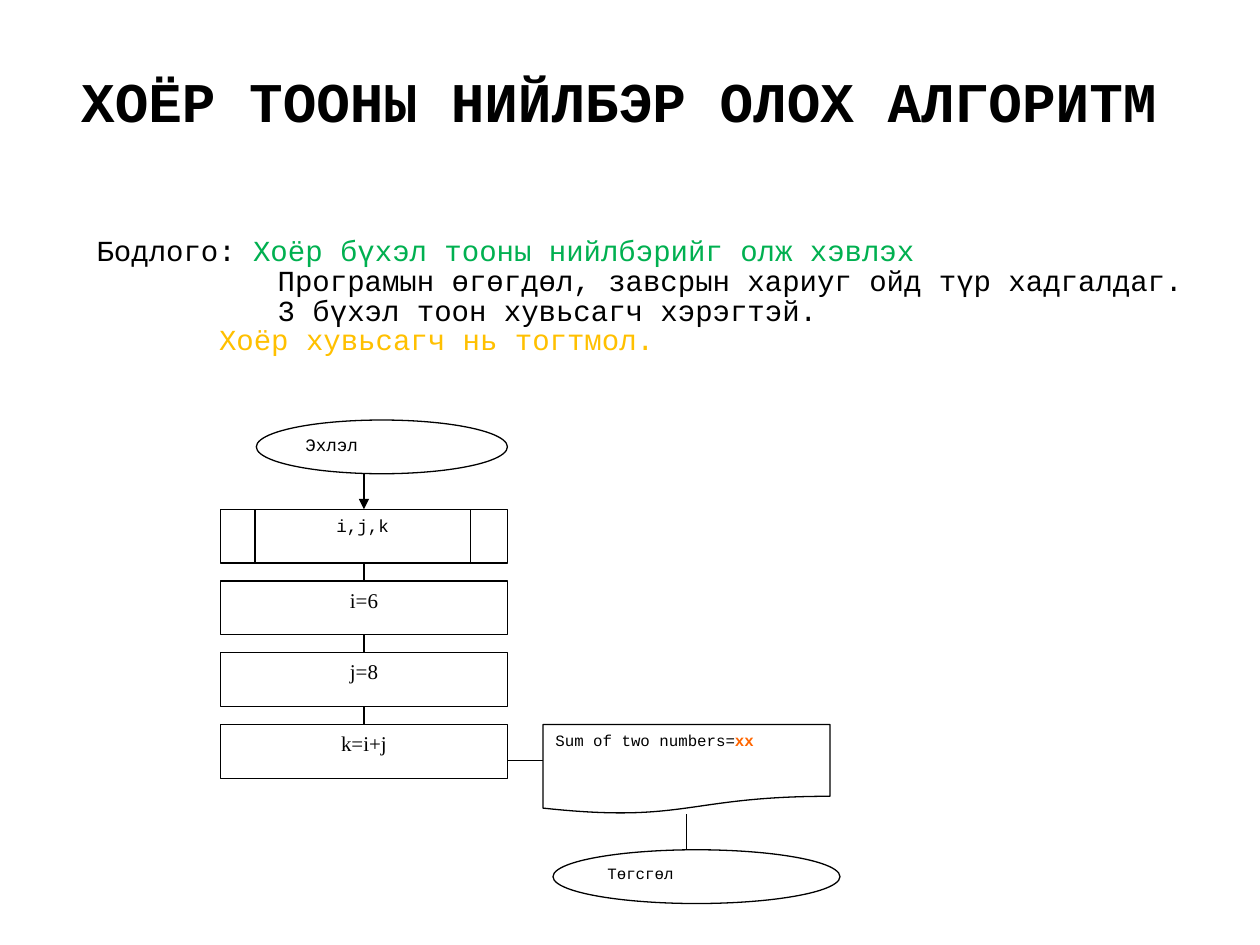
import pptx
import pptx.util
import pptx.dml.color
import pptx.enum.shapes
import pptx.enum.text
import pptx.oxml.ns
import lxml.etree
from dataclasses import dataclass
from typing import Any

Pt = pptx.util.Pt
KIND = pptx.enum.shapes.MSO_SHAPE
ALIGN = pptx.enum.text.PP_ALIGN
ANCHOR = pptx.enum.text.MSO_ANCHOR
MONO = "Courier New"
SERIF = "Times New Roman"
HUES = {"ink": "000000", "paper": "FFFFFF", "green": "00B050",
        "gold": "FFC000", "orange": "FF6600"}


@dataclass
class Word:
    text: str
    hue: str = "ink"
    bold: bool = False


@dataclass
class Line:
    words: list[Word]
    left: float
    hang: float = 0


@dataclass
class Node:
    kind: Any
    left: float
    top: float
    width: float
    height: float
    words: list[Word]
    size: float = 12
    font: str = MONO
    align: Any = ALIGN.LEFT


@dataclass
class Link:
    x1: float
    y1: float
    x2: float
    y2: float
    arrow: bool = False


def tint(name: str) -> pptx.dml.color.RGBColor:
    return pptx.dml.color.RGBColor.from_string(HUES[name])


def place(shape: Any, left: float, top: float, width: float, height: float) -> None:
    shape.left, shape.top = Pt(left), Pt(top)
    shape.width, shape.height = Pt(width), Pt(height)


def write(para: Any, words: list[Word], size: float, font: str) -> None:
    for word in words:
        run = para.add_run()
        run.text = word.text
        run.font.size = Pt(size)
        run.font.name = font
        run.font.bold = word.bold
        run.font.color.rgb = tint(word.hue)


def fill_body(shape: Any, lines: list[Line]) -> None:
    frame = shape.text_frame
    frame.word_wrap = True
    frame.auto_size = pptx.enum.text.MSO_AUTO_SIZE.NONE
    frame.margin_top = Pt(8)
    for i, line in enumerate(lines):
        para = frame.add_paragraph() if i else frame.paragraphs[0]
        para.line_spacing = 0.6
        para.space_before = Pt(5 if i else 0)
        props = para._p.get_or_add_pPr()
        props.set("marL", str(Pt(line.left)))
        props.set("indent", str(Pt(line.hang)))
        lxml.etree.SubElement(props, pptx.oxml.ns.qn("a:buNone"))
        write(para, line.words, 16.6, MONO)


def draw_node(slide: Any, node: Node) -> None:
    shape = slide.shapes.add_shape(node.kind, Pt(node.left), Pt(node.top),
                                   Pt(node.width), Pt(node.height))
    shape.shadow.inherit = False
    shape.fill.solid()
    shape.fill.fore_color.rgb = tint("paper")
    shape.line.color.rgb = tint("ink")
    shape.line.width = Pt(0.75)
    frame = shape.text_frame
    frame.word_wrap = True
    frame.vertical_anchor = ANCHOR.TOP
    frame.paragraphs[0].alignment = node.align
    write(frame.paragraphs[0], node.words, node.size, node.font)


def draw_link(slide: Any, link: Link) -> None:
    wire = slide.shapes.add_connector(
        pptx.enum.shapes.MSO_CONNECTOR.STRAIGHT,
        Pt(link.x1), Pt(link.y1), Pt(link.x2), Pt(link.y2))
    wire.line.color.rgb = tint("ink")
    wire.line.width = Pt(0.75)
    if link.arrow:
        tip = lxml.etree.SubElement(wire.line._get_or_add_ln(),
                                    pptx.oxml.ns.qn("a:tailEnd"))
        tip.set("type", "triangle")
    lxml.etree.SubElement(wire._element.spPr, pptx.oxml.ns.qn("a:effectLst"))


def main() -> None:
    deck = pptx.Presentation()
    deck.slide_width, deck.slide_height = Pt(720), Pt(540)
    slide = deck.slides.add_slide(deck.slide_layouts[1])

    title, body = slide.placeholders
    place(title, 18, 24, 672, 66)
    title.text_frame.vertical_anchor = ANCHOR.MIDDLE
    head = title.text_frame.paragraphs[0]
    head.alignment = ALIGN.CENTER
    write(head, [Word("ХОЁР ТООНЫ НИЙЛБЭР ОЛОХ АЛГОРИТМ", bold=True)], 32, MONO)

    place(body, 48, 132, 654, 90)
    fill_body(body, [
        Line([Word("Бодлого: "),
              Word("Хоёр бүхэл тооны нийлбэрийг олж хэвлэх", "green")], 27, -27),
        Line([Word("Програмын өгөгдөл, завсрын хариуг ойд түр хадгалдаг.")], 103.5),
        Line([Word("3 бүхэл тоон хувьсагч хэрэгтэй.")], 103.5),
        Line([Word("Хоёр хувьсагч нь тогтмол.", "gold")], 70),
    ])

    left, wide, high, step = 126, 164, 30.7, 41
    mid = left + wide / 2
    rows = [291 + step * i for i in range(4)]
    last = rows[-1]
    side, deep, gap = 310.3, 51.2, 20.4
    end = last + deep + gap

    nodes = [
        Node(KIND.OVAL, 146.5, 240, 143.5, high, [Word("Эхлэл")], 10),
        Node(KIND.OVAL, 316, end, wide, high, [Word("Төгсгөл")], 9),
        Node(KIND.RECTANGLE, left, rows[0], wide, high, []),
        Node(KIND.RECTANGLE, 145.7, rows[0], 123, high, [Word("i,j,k")], 10,
             align=ALIGN.CENTER),
        Node(KIND.FLOWCHART_DOCUMENT, side, last, wide, deep,
             [Word("Sum of two numbers="), Word("xx", "orange", True)], 9),
    ]
    nodes += [Node(KIND.RECTANGLE, left, top, wide, high, [Word(text)],
                   font=SERIF, align=ALIGN.CENTER)
              for top, text in zip(rows[1:], ["i=6", "j=8", "k=i+j"])]
    for node in nodes:
        draw_node(slide, node)

    links = [Link(mid, 240 + high, mid, rows[0], True)]
    links += [Link(mid, top + high, mid, top + step) for top in rows[:-1]]
    links += [Link(left + wide, last + gap, side, last + gap),
              Link(side + wide / 2, last + deep, side + wide / 2, end)]
    for link in links:
        draw_link(slide, link)

    deck.save("out.pptx")


if __name__ == "__main__":
    main()
